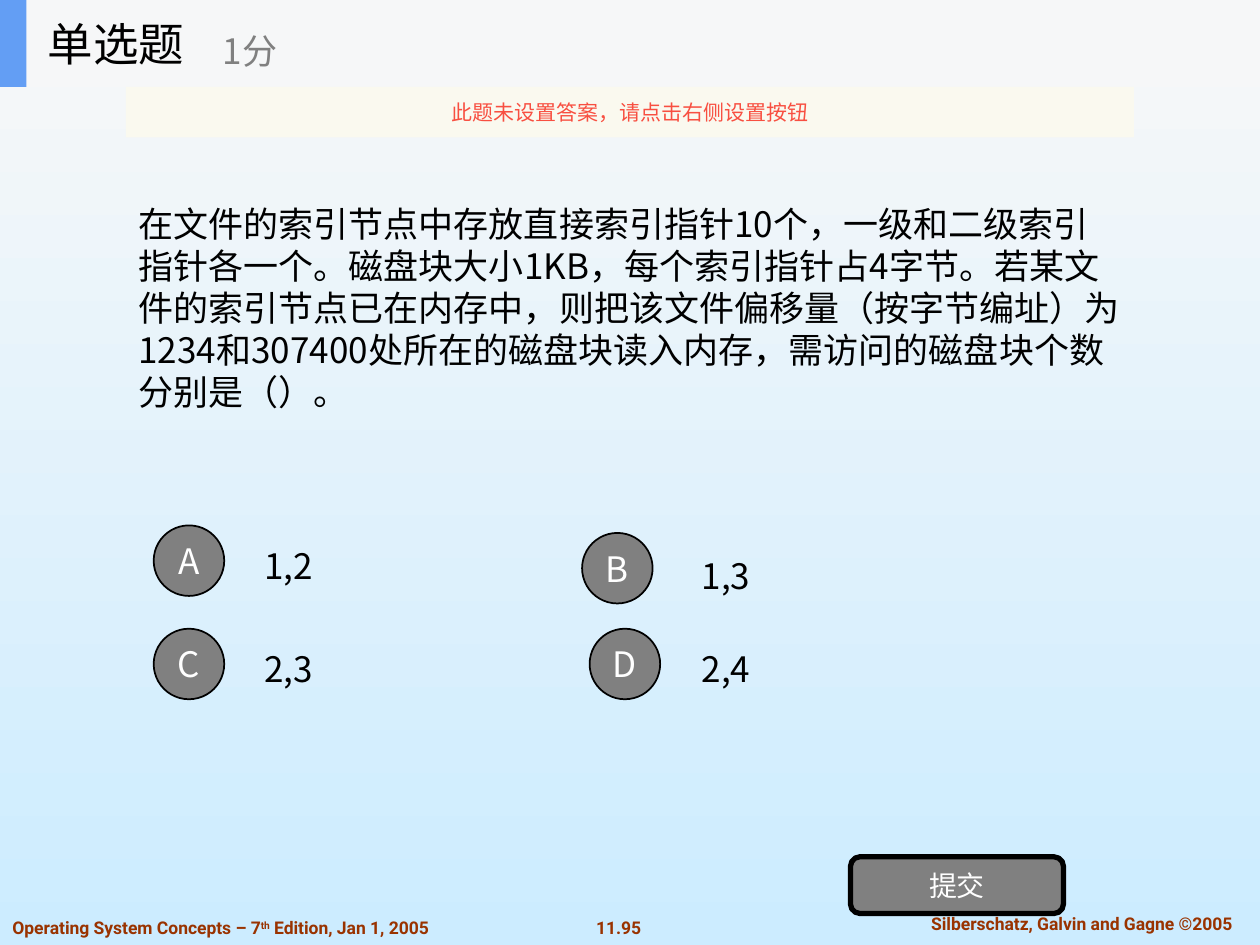
from lxml.etree import SubElement
from pptx import Presentation
from pptx.dml.color import RGBColor
from pptx.enum.lang import MSO_LANGUAGE_ID
from pptx.enum.shapes import MSO_SHAPE
from pptx.enum.text import MSO_ANCHOR, MSO_AUTO_SIZE, PP_ALIGN
from pptx.oxml.ns import qn
from pptx.util import Inches, Pt

HAN, LATIN = "Noto Sans CJK SC", "Roboto"
BLACK, GREY, WHITE, BROWN = "000000", "808080", "FFFFFF", "993300"


def color(code):
    return RGBColor.from_string(code)


def write(shape, *parts, size=20, ink=BLACK, face=HAN, bold=False,
          align=PP_ALIGN.LEFT, anchor=MSO_ANCHOR.MIDDLE, wrap=True, raised=()):
    """Fill a shape with one paragraph; raised lists superscript parts."""
    frame = shape.text_frame
    frame.auto_size = MSO_AUTO_SIZE.NONE
    frame.word_wrap = wrap
    frame.vertical_anchor = anchor
    para = frame.paragraphs[0]
    para.alignment = align
    for part in parts:
        run = para.add_run()
        run.text = part
        font = run.font
        font.size, font.bold, font.name = Pt(size), bold, face
        font.color.rgb = color(ink)
        props = run._r.get_or_add_rPr()
        SubElement(props, qn("a:ea")).set("typeface", face)
        if face == HAN:
            font.language_id = MSO_LANGUAGE_ID.SIMPLIFIED_CHINESE
        if part in raised:
            props.set("baseline", "30000")


class Quiz:
    def __init__(self, deck):
        self.slide = deck.slides.add_slide(deck.slide_layouts[5])
        self.shapes = self.slide.shapes

    def back(self, top, base):
        fill = self.slide.background.fill
        fill.gradient()
        fill.gradient_angle = 270
        for stop, code in zip(fill.gradient_stops, (top, base)):
            stop.color.rgb = color(code)

    def title(self, text, box, **style):
        shape = self.shapes.title
        shape.left, shape.top, shape.width, shape.height = map(Inches, box)
        write(shape, text, **style)
        # Bring the title in front of the header band
        self.shapes._spTree.append(shape._element)

    def label(self, box, *parts, **style):
        write(self.shapes.add_textbox(*map(Inches, box)), *parts, **style)

    def block(self, kind, box, fill, text="", line=0, alpha=None, **style):
        shape = self.shapes.add_shape(kind, *map(Inches, box))
        shape.shadow.inherit = False
        shape.fill.solid()
        shape.fill.fore_color.rgb = color(fill)
        if alpha:
            tint = shape._element.spPr.find(".//" + qn("a:srgbClr"))
            SubElement(tint, qn("a:alpha")).set("val", str(alpha * 1000))
        if line:
            shape.line.color.rgb = color(BLACK)
            shape.line.width = Pt(line)
        else:
            shape.line.fill.background()
        if text:
            write(shape, text, align=PP_ALIGN.CENTER, wrap=False, **style)

    def choice(self, mark, text, left, top, col, row):
        self.label((col, row, 1.2, 0.63), text)
        self.block(MSO_SHAPE.OVAL, (left, top, 0.56, 0.56), GREY, mark,
                   line=1, ink=WHITE)


def main():
    deck = Presentation()
    deck.slide_width, deck.slide_height = Inches(10), Inches(7.5)
    quiz = Quiz(deck)
    quiz.back("F8F8F8", "CCECFF")

    # Footer
    foot = dict(size=10, ink=BROWN, face=LATIN, bold=True,
                anchor=MSO_ANCHOR.TOP)
    quiz.label((0, 7.23, 3.69, 0.27), "Operating System Concepts – 7", "th",
               " Edition, Jan 1, 2005", raised=("th",), wrap=False, **foot)
    quiz.label((4.63, 7.23, 0.56, 0.27), "11.95", align=PP_ALIGN.CENTER,
               wrap=False, **foot)
    quiz.label((7.1, 7.2, 2.97, 0.27), "Silberschatz, Galvin and Gagne ©2005",
               align=PP_ALIGN.CENTER, **foot)

    # Question
    quiz.label((1, 1.27, 8, 2.34),
               "在文件的索引节点中存放直接索引指针10个，一级和二级索引指针各一个。"
               "磁盘块大小1KB，每个索引指针占4字节。若某文件的索引节点已在内存中，"
               "则把该文件偏移量（按字节编址）为1234和307400处所在的磁盘块读入内存，"
               "需访问的磁盘块个数分别是（）。")

    # Choices: mark, text, circle left and top, text left and top
    for item in (("A", "1,2", 1.22, 4.17, 2, 4.17),
                 ("B", "1,3", 4.62, 4.23, 5.47, 4.25),
                 ("C", "2,3", 1.22, 4.99, 2, 4.99),
                 ("D", "2,4", 4.68, 4.99, 5.47, 4.99)):
        quiz.choice(*item)

    # Submit button
    quiz.block(MSO_SHAPE.ROUNDED_RECTANGLE, (6.75, 6.8, 1.69, 0.45), GREY,
               "提交", line=3, size=16, ink=WHITE)

    # Header band, title and score
    quiz.block(MSO_SHAPE.RECTANGLE, (0, 0, 10, 0.69), "F6F7F8")
    quiz.block(MSO_SHAPE.RECTANGLE, (0, 0, 0.21, 0.69), "639EF4")
    quiz.title("单选题", (0.28, 0, 2.08, 0.69), size=26)
    quiz.label((1.67, 0.12, 2.5, 0.56), "1分", ink=GREY)

    # Notice
    quiz.block(MSO_SHAPE.RECTANGLE, (1, 0.69, 8, 0.4), "FBFAEF",
               "此题未设置答案，请点击右侧设置按钮", alpha=90, size=12,
               ink="F84F41")
    deck.save("out.pptx")


if __name__ == "__main__":
    main()
